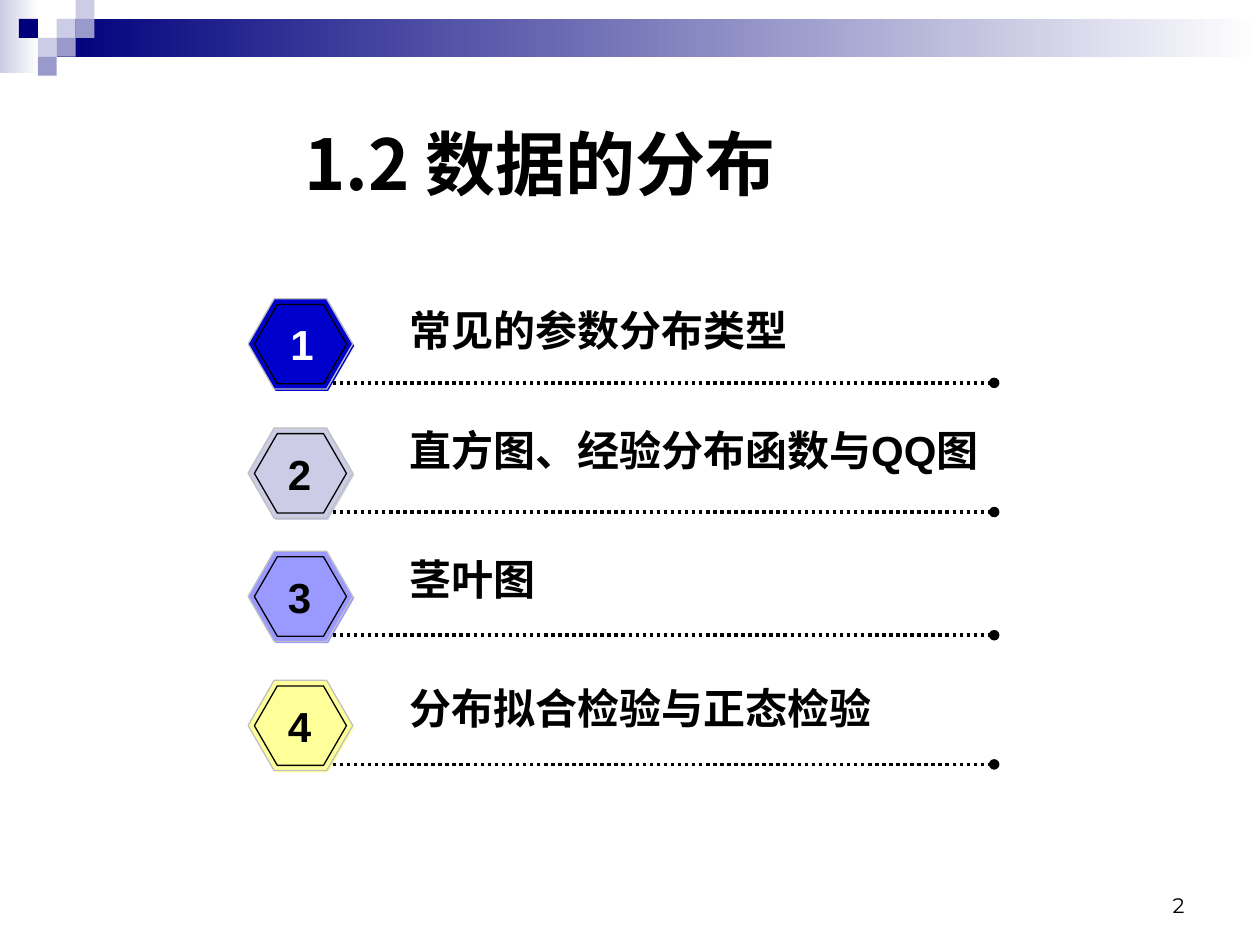
from dataclasses import dataclass
from typing import Optional

from lxml import etree
from pptx import Presentation
from pptx.dml.color import RGBColor
from pptx.enum.dml import MSO_LINE
from pptx.enum.shapes import MSO_CONNECTOR, MSO_SHAPE
from pptx.enum.text import MSO_ANCHOR, PP_ALIGN
from pptx.oxml.ns import qn
from pptx.util import Pt

RECTANGLE, HEXAGON = MSO_SHAPE.RECTANGLE, MSO_SHAPE.HEXAGON
STRAIGHT, ROUND_DOT = MSO_CONNECTOR.STRAIGHT, MSO_LINE.ROUND_DOT
LEFT, CENTER, RIGHT = PP_ALIGN.LEFT, PP_ALIGN.CENTER, PP_ALIGN.RIGHT
TOP, BOTTOM = MSO_ANCHOR.TOP, MSO_ANCHOR.BOTTOM


@dataclass(frozen=True)
class Theme:
    navy: str = "00007D"
    lavender: str = "CCCCE6"
    mauve: str = "9999CC"
    blue: str = "0000CC"
    violet: str = "9999FF"
    yellow: str = "FFFF99"
    silver: str = "C0C0C0"
    black: str = "000000"
    white: str = "FFFFFF"
    latin_font: str = "Arial"
    chinese_font: str = "Noto Sans CJK SC"
    number_font: str = "Montserrat"
    title_size: float = 40
    body_size: float = 24
    number_size: float = 12


@dataclass(frozen=True)
class Box:
    left: float
    top: float
    width: float
    height: float


@dataclass(frozen=True)
class TextStyle:
    size: float
    font: str
    color: str
    bold: bool = True
    alignment: PP_ALIGN = LEFT
    anchor: MSO_ANCHOR = TOP
    wrap: bool = True


@dataclass(frozen=True)
class Tile:
    column: int
    row: int
    color: str


@dataclass(frozen=True)
class Topic:
    label: str
    top: float
    label_top: float
    label_width: float
    color: str
    number_color: str
    number_left: float = 157.7


THEME = Theme()
TILE_SIZE = 10.8
TILES = [
    Tile(3, 1, THEME.lavender),
    Tile(4, 0, THEME.lavender),
    Tile(4, 1, THEME.mauve),
    Tile(2, 2, THEME.lavender),
    Tile(1, 1, THEME.navy),
    Tile(3, 2, THEME.mauve),
    Tile(2, 3, THEME.mauve),
]
TOPICS = [
    Topic("常见的参数分布类型", 170.8, 170.6, 295.2, THEME.blue, THEME.white, 159.1),
    Topic("直方图、经验分布函数与QQ图", 244.6, 239, 362.9, THEME.lavender, THEME.black),
    Topic("茎叶图", 315, 312.5, 254.9, THEME.violet, THEME.black),
    Topic("分布拟合检验与正态检验", 388.8, 386.6, 329, THEME.yellow, THEME.black),
]


def place(box: Box) -> list:
    return [Pt(value) for value in (box.left, box.top, box.width, box.height)]


def add_filled_shape(slide, kind, box: Box, color: str, outline: Optional[str] = None):
    shape = slide.shapes.add_shape(kind, *place(box))
    shape.shadow.inherit = False
    shape.fill.solid()
    shape.fill.fore_color.rgb = RGBColor.from_string(color)
    if outline:
        shape.line.color.rgb = RGBColor.from_string(outline)
        shape.line.width = Pt(0.75)
    else:
        shape.line.fill.background()
    return shape


def add_gradient_bar(slide, box: Box, start: str, end: str) -> None:
    shape = add_filled_shape(slide, RECTANGLE, box, start)
    shape.fill.gradient()
    shape.fill.gradient_angle = 0
    for stop, position, color in zip(shape.fill.gradient_stops, (0, 1), (start, end)):
        stop.position = position
        stop.color.rgb = RGBColor.from_string(color)


def write_text(shape, text: str, style: TextStyle) -> None:
    frame = shape.text_frame
    frame_format = {
        "word_wrap": style.wrap,
        "vertical_anchor": style.anchor,
        "margin_left": Pt(7.2),
        "margin_right": Pt(7.2),
        "margin_top": Pt(3.6),
        "margin_bottom": Pt(3.6),
    }
    for name, value in frame_format.items():
        setattr(frame, name, value)
    paragraph = frame.paragraphs[0]
    paragraph.alignment = style.alignment
    run = paragraph.add_run()
    run.text = text
    font_format = {"size": Pt(style.size), "name": style.font, "bold": style.bold}
    for name, value in font_format.items():
        setattr(run.font, name, value)
    run.font.color.rgb = RGBColor.from_string(style.color)
    east_asian = etree.SubElement(run.font._element, qn("a:ea"))
    east_asian.set("typeface", THEME.chinese_font)


def add_text(slide, box: Box, text: str, style: TextStyle) -> None:
    write_text(slide.shapes.add_textbox(*place(box)), text, style)


def add_dotted_line(slide, left: float, right: float, top: float) -> None:
    connector = slide.shapes.add_connector(STRAIGHT, Pt(left), Pt(top), Pt(right), Pt(top))
    connector.line.color.rgb = RGBColor.from_string(THEME.black)
    connector.line.width = Pt(2)
    connector.line.dash_style = ROUND_DOT
    properties = connector._element.spPr
    tail = etree.SubElement(properties.find(qn("a:ln")), qn("a:tailEnd"))
    tail.set("type", "oval")
    etree.SubElement(properties, qn("a:effectLst"))


def add_topic(slide, number: int, topic: Topic) -> None:
    hexagons = [
        (Box(142.6, topic.top + 1, 59.8, 51.6), None),
        (Box(141.8, topic.top, 59.8, 51.6), THEME.silver),
        (Box(145.4, topic.top + 3.2, 52.6, 45.4), THEME.black),
    ]
    for box, outline in hexagons:
        hexagon = add_filled_shape(slide, HEXAGON, box, topic.color, outline)
        hexagon.adjustments[0] = 0.289
    add_dotted_line(slide, 190.1, 568.1, topic.top + 48)
    label_style = TextStyle(THEME.body_size, THEME.latin_font, THEME.black)
    add_text(slide, Box(226.8, topic.label_top, topic.label_width, 36), topic.label, label_style)
    number_box = Box(topic.number_left, topic.top + 7.9, 27, 36)
    number_style = TextStyle(THEME.body_size, THEME.latin_font, topic.number_color,
                             alignment=CENTER, wrap=False)
    number_shape = add_filled_shape(slide, RECTANGLE, number_box, topic.color)
    write_text(number_shape, str(number), number_style)


def main() -> None:
    presentation = Presentation()
    presentation.slide_width, presentation.slide_height = Pt(720), Pt(540)
    slide = presentation.slides.add_slide(presentation.slide_layouts[6])

    add_gradient_bar(slide, Box(0, 0, 22.3, 41.8), THEME.lavender, THEME.white)
    add_gradient_bar(slide, Box(32.4, 10.8, 687.6, 21.6), THEME.navy, THEME.white)
    for tile in TILES:
        box = Box((tile.column) * TILE_SIZE, tile.row * TILE_SIZE, TILE_SIZE, TILE_SIZE)
        add_filled_shape(slide, RECTANGLE, box, tile.color)

    add_text(slide, Box(516.2, 491.8, 167.8, 36), "2",
             TextStyle(THEME.number_size, THEME.number_font, THEME.black, False, RIGHT, BOTTOM))
    for number, topic in enumerate(TOPICS, 1):
        add_topic(slide, number, topic)
    add_text(slide, Box(167, 65.5, 362.9, 55.4), "1.2 数据的分布",
             TextStyle(THEME.title_size, THEME.chinese_font, THEME.black))

    presentation.save("out.pptx")


if __name__ == "__main__":
    main()
